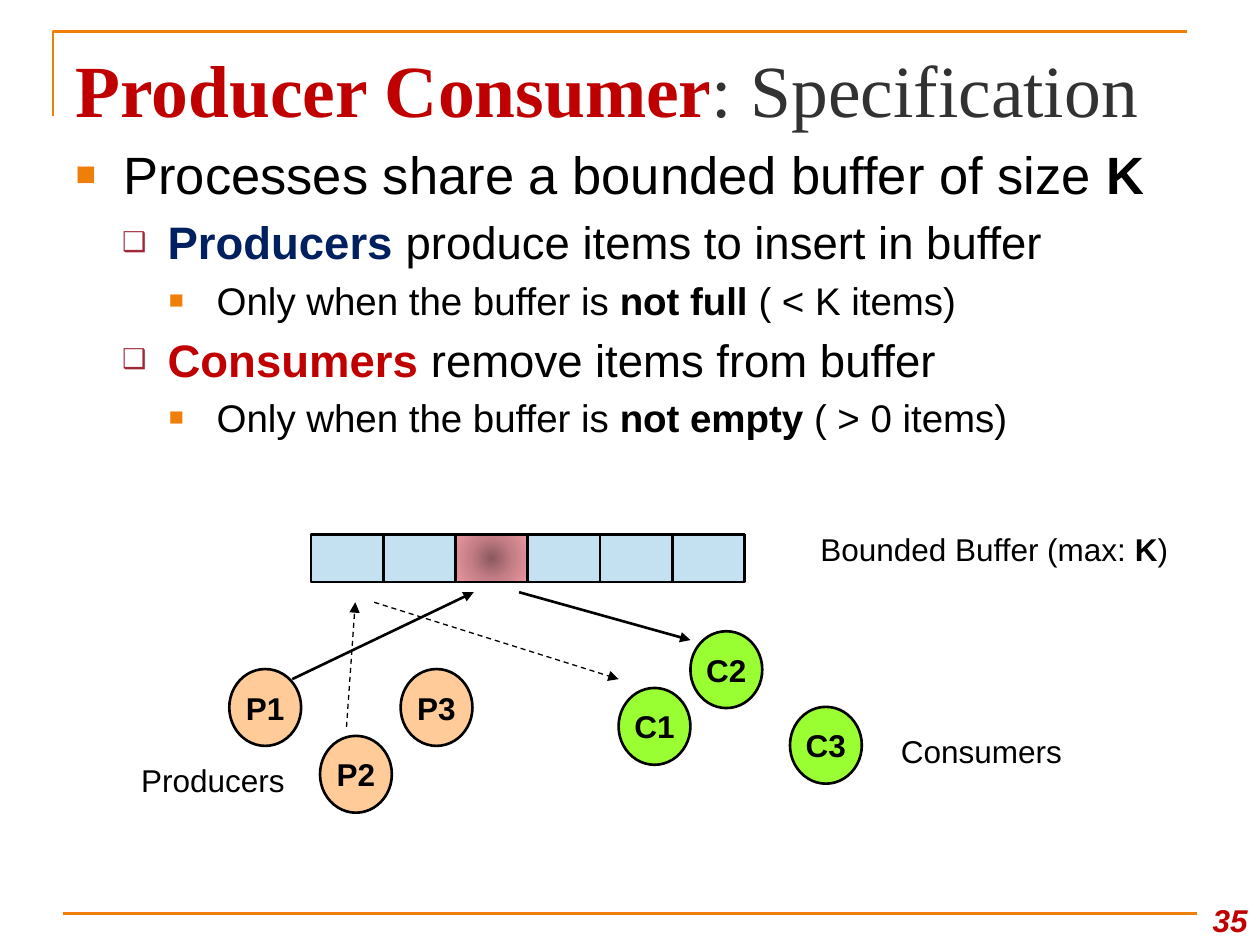
from dataclasses import dataclass

from lxml.etree import SubElement
from pptx import Presentation
from pptx.dml.color import RGBColor
from pptx.enum.dml import MSO_LINE_DASH_STYLE as DASH
from pptx.enum.shapes import MSO_CONNECTOR as CONNECTOR, MSO_SHAPE as SHAPE
from pptx.enum.text import MSO_ANCHOR as ANCHOR, MSO_AUTO_SIZE as AUTO_SIZE, PP_ALIGN as ALIGN
from pptx.oxml.ns import qn
from pptx.util import Inches, Pt


@dataclass(frozen=True)
class Theme:
    """Fonts, colours and type sizes of the slide."""

    heading_font: str = "Times New Roman"
    body_font: str = "Arial"
    black: str = "000000"
    grey: str = "323232"
    red: str = "C00000"
    navy: str = "002060"
    orange: str = "F07F09"
    maroon: str = "9F2936"
    producer: str = "FFCC99"
    consumer: str = "99FF33"
    slot: str = "C4E1F2"
    item_stops: tuple = ((0, "8B595F"), (50, "C67F87"), (100, "EB97A0"))
    title_size: int = 42
    level_sizes: tuple = (30, 26, 22)
    label_size: int = 18
    line: float = 1.5
    thin_line: float = 0.75


THEME = Theme()
LEVELS = (
    ("■", THEME.orange, 65, 0.38, 0.38),
    ("❑", THEME.maroon, 60, 0.73, 0.36),
    ("■", THEME.orange, 65, 1.12, 0.38),
)
BULLETS = (
    (0, (("Processes share a bounded buffer of size ", {}), ("K", {"bold": True}))),
    (1, (("Producers", {"bold": True, "color": THEME.navy}),
         (" produce items to insert in buffer", {}))),
    (2, (("Only when the buffer is ", {}), ("not full ", {"bold": True}),
         ("( < K items)", {}))),
    (1, (("Consumers", {"bold": True, "color": THEME.red}),
         (" remove items from buffer", {}))),
    (2, (("Only when the buffer is ", {}), ("not empty ", {"bold": True}),
         ("( > 0 items)", {}))),
)
PROCESSES = (
    ("P1", 1.82, 5.31, THEME.producer),
    ("P2", 2.54, 5.84, THEME.producer),
    ("P3", 3.18, 5.31, THEME.producer),
    ("C1", 4.91, 5.46, THEME.consumer),
    ("C2", 5.48, 5.01, THEME.consumer),
    ("C3", 6.27, 5.61, THEME.consumer),
)
ARROWS = (
    ((2.32, 5.39), (3.76, 4.7), False),
    ((4.12, 4.7), (5.48, 5.08), False),
    ((2.75, 5.77), (2.82, 4.78), True),
    ((2.97, 4.78), (4.91, 5.39), True),
)


def add_run(paragraph, text, font=THEME.body_font, size=THEME.label_size,
            color=THEME.black, bold=False, italic=False):
    """Append formatted text to a paragraph."""
    run = paragraph.add_run()
    run.text = text
    run.font.name = font
    run.font.size = Pt(size)
    run.font.color.rgb = RGBColor.from_string(color)
    run.font.bold = bold
    run.font.italic = italic


def place(shape, left, top, width, height):
    """Move and size a shape in inches."""
    shape.left, shape.top = Inches(left), Inches(top)
    shape.width, shape.height = Inches(width), Inches(height)


def set_bullet(paragraph, level):
    """Give a paragraph the bullet and indents of its level."""
    character, color, percent, margin, hanging = LEVELS[level]
    paragraph.level = level
    properties = paragraph._p.get_or_add_pPr()
    properties.set("marL", str(Inches(margin)))
    properties.set("indent", str(-Inches(hanging)))
    bullet_color = SubElement(properties, qn("a:buClr"))
    SubElement(bullet_color, qn("a:srgbClr"), val=color)
    SubElement(properties, qn("a:buSzPct"), val=str(percent * 1000))
    SubElement(properties, qn("a:buFont"), typeface=THEME.body_font)
    SubElement(properties, qn("a:buChar"), char=character)


def fill_title(title):
    """Write the two-colour heading."""
    place(title, 0.5, 0.3, 9, 0.78)
    frame = title.text_frame
    frame.auto_size = AUTO_SIZE.NONE
    frame.vertical_anchor = ANCHOR.BOTTOM
    frame.margin_bottom = Inches(0.03)
    paragraph = frame.paragraphs[0]
    paragraph.alignment = ALIGN.LEFT
    style = {"font": THEME.heading_font, "size": THEME.title_size}
    add_run(paragraph, "Producer Consumer", color=THEME.red, bold=True, **style)
    add_run(paragraph, ": Specification", color=THEME.grey, **style)


def fill_body(body):
    """Write the bulleted list."""
    place(body, 0.5, 1.08, 9, 2.7)
    frame = body.text_frame
    frame.auto_size = AUTO_SIZE.NONE
    frame.vertical_anchor = ANCHOR.TOP
    for index, (level, runs) in enumerate(BULLETS):
        paragraph = frame.add_paragraph() if index else frame.paragraphs[0]
        size = THEME.level_sizes[level]
        set_bullet(paragraph, level)
        paragraph.space_before = Pt(size / 5 if index else 0)
        for text, style in runs:
            add_run(paragraph, text, size=size, **style)


def add_box(slide, kind, left, top, width, height, fill):
    """Add an outlined preset shape."""
    shape = slide.shapes.add_shape(kind, Inches(left), Inches(top), Inches(width), Inches(height))
    shape.shadow.inherit = False
    shape.fill.solid()
    shape.fill.fore_color.rgb = RGBColor.from_string(fill)
    shape.line.color.rgb = RGBColor.from_string(THEME.black)
    shape.line.width = Pt(THEME.line)
    return shape


def add_process(slide, name, left, top, fill):
    """Add a named process circle."""
    circle = add_box(slide, SHAPE.OVAL, left, top, 0.57, 0.61, fill)
    frame = circle.text_frame
    frame.word_wrap = False
    frame.vertical_anchor = ANCHOR.MIDDLE
    frame.paragraphs[0].alignment = ALIGN.CENTER
    add_run(frame.paragraphs[0], name, bold=True)


def set_radial_fill(shape, stops):
    """Replace a solid fill by a gradient spreading from the centre."""
    properties = shape._element.spPr
    solid = properties.find(qn("a:solidFill"))
    gradient = SubElement(properties, qn("a:gradFill"), rotWithShape="1")
    stop_list = SubElement(gradient, qn("a:gsLst"))
    for position, color in stops:
        stop = SubElement(stop_list, qn("a:gs"), pos=str(position * 1000))
        SubElement(stop, qn("a:srgbClr"), val=color)
    circle = SubElement(gradient, qn("a:path"), path="circle")
    SubElement(circle, qn("a:fillToRect"), l="50000", t="50000", r="50000", b="50000")
    properties.replace(solid, gradient)


def add_buffer(slide, slots=6, item_slot=2):
    """Add the row of buffer slots with one holding an item."""
    width = 3.44 / slots
    for index in range(slots):
        slot = add_box(slide, SHAPE.RECTANGLE, 2.47 + index * width, 4.24, width, 0.38, THEME.slot)
        if index == item_slot:
            set_radial_fill(slot, THEME.item_stops)


def add_line(slide, start, end, color=THEME.black, dashed=False, arrow=False):
    """Add a straight line, optionally dashed or with an arrowhead."""
    line = slide.shapes.add_connector(CONNECTOR.STRAIGHT, *map(Inches, start + end))
    line.line.color.rgb = RGBColor.from_string(color)
    line.line.width = Pt(THEME.thin_line if dashed else THEME.line)
    if dashed:
        line.line.dash_style = DASH.DASH
    if arrow:
        SubElement(line.line._get_or_add_ln(), qn("a:tailEnd"), type="triangle")
    SubElement(line._element.spPr, qn("a:effectLst"))


def add_corner(slide):
    """Add the open corner rule around the title."""
    builder = slide.shapes.build_freeform(Inches(0.42), Inches(0.92))
    corner_points = [(Inches(0.42), Inches(0.25)), (Inches(9.42), Inches(0.25))]
    builder.add_line_segments(corner_points, close=False)
    corner = builder.convert_to_shape()
    corner.shadow.inherit = False
    corner.fill.background()
    corner.line.color.rgb = RGBColor.from_string(THEME.orange)
    corner.line.width = Pt(THEME.line)


def add_label(slide, left, top, width, *runs, height=0.39):
    """Add a one-line label and return its text frame."""
    box = slide.shapes.add_textbox(Inches(left), Inches(top), Inches(width), Inches(height))
    frame = box.text_frame
    frame.word_wrap = True
    frame.margin_left = frame.margin_right = Inches(0.09)
    frame.margin_top = frame.margin_bottom = Inches(0.04)
    for text, style in runs:
        add_run(frame.paragraphs[0], text, **style)
    return frame


def add_page_number(slide):
    """Add the page number in the bottom right corner."""
    style = {"color": THEME.red, "bold": True, "italic": True}
    frame = add_label(slide, 9.42, 7, 0.58, ("35", style), height=0.5)
    frame.margin_right, frame.margin_bottom = Inches(0.1), Inches(0.05)
    frame.vertical_anchor = ANCHOR.BOTTOM
    frame.paragraphs[0].alignment = ALIGN.RIGHT


def main():
    """Build and save the slide."""
    presentation = Presentation()
    presentation.slide_width, presentation.slide_height = Inches(10), Inches(7.5)
    slide = presentation.slides.add_slide(presentation.slide_layouts[1])
    add_corner(slide)
    add_line(slide, (0.5, 7.25), (9.5, 7.25), color=THEME.orange)
    fill_title(slide.shapes.title)
    fill_body(slide.placeholders[1])
    add_buffer(slide)
    for process in PROCESSES:
        add_process(slide, *process)
    for start, end, dashed in ARROWS:
        add_line(slide, start, end, dashed=dashed, arrow=True)
    add_label(slide, 1.03, 6, 1.4, ("Producers", {}))
    add_label(slide, 7.06, 5.77, 1.55, ("Consumers", {}))
    add_label(slide, 6.42, 4.17, 3.05, ("Bounded Buffer (max: ", {}), ("K", {"bold": True}), (")", {}))
    add_page_number(slide)
    presentation.save("out.pptx")


if __name__ == "__main__":
    main()
